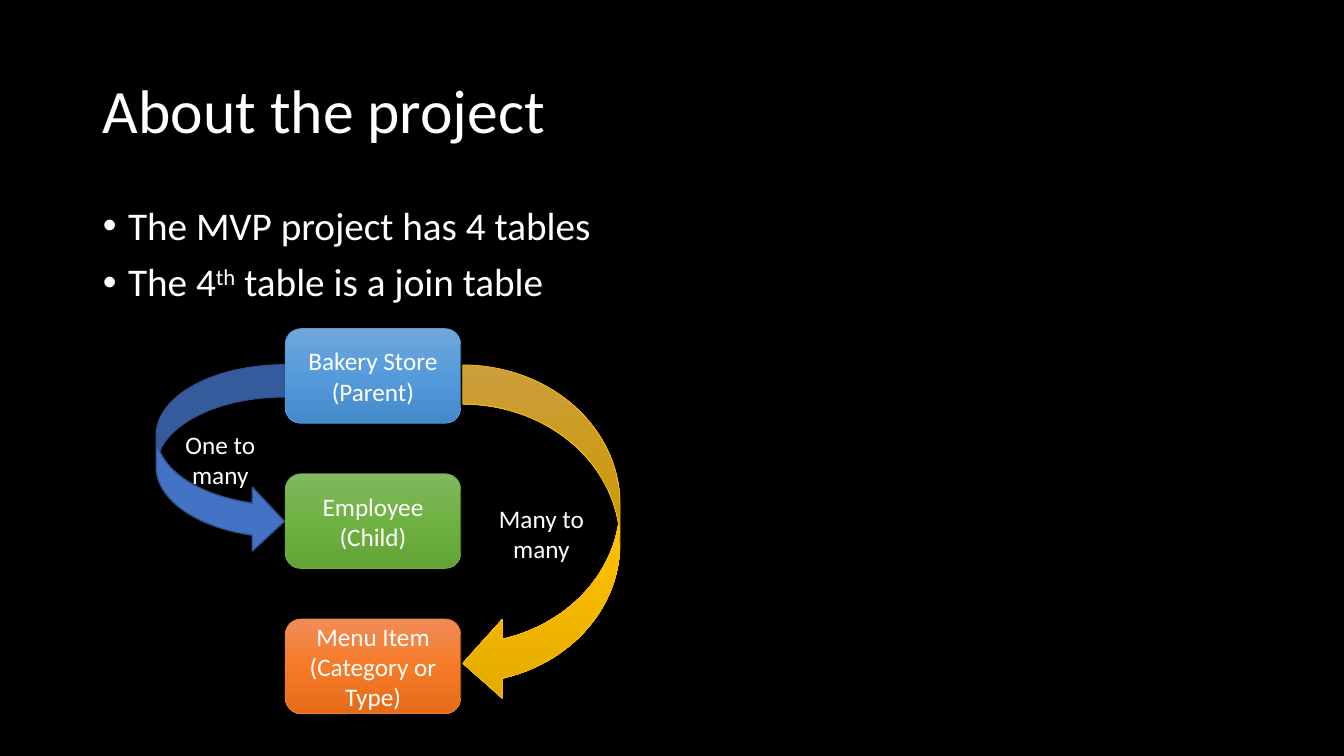
"""Build the "About the project" slide with its table relationship diagram."""
from copy import deepcopy

from pptx import Presentation
from pptx import util as u
from pptx.dml.color import RGBColor
from pptx.enum import shapes, text
from pptx.oxml.ns import qn

COLORS = {"background": "000000", "text": "FFFFFF"}
TITLE = "About the project"
BULLETS = [
    [("The MVP project has 4 tables", False)],
    [("The 4", False), ("th", True), (" table is a join table", False)],
]
TABLES = [
    ("Bakery Store (Parent)", ["71A6DB", "559BDB", "448ACA"], "5B9BD5"),
    ("Employee (Child)", ["81B861", "6FB242", "62A336"], "70AD47"),
    ("Menu Item (Category or Type)", ["F18C57", "F67B28", "E56C19"], "ED7D31"),
]
ARROWS = [
    ("One to many", shapes.MSO_SHAPE.CURVED_RIGHT_ARROW,
     (1.55, 3.62, 1.27, 1.87), ["4472C4"], "325491", 1),
    ("Many to many", shapes.MSO_SHAPE.CURVED_LEFT_ARROW,
     (4.59, 3.62, 1.56, 3.35), ["FFC64B", "FFC000", "E3AB00"], "FFC000", 0.5),
]
TITLE_AREA = (0.92, 0.4, 11.5, 1.45)
BODY_AREA = (0.92, 2, 6.43, 1.1)
TABLE_LEFT, TABLE_TOP, TABLE_STEP = 2.83, 3.26, 1.44
TABLE_SIZE = (1.74, 0.94)


def set_all(target, values):
    """Set each named attribute of the target."""
    for name, value in values.items():
        setattr(target, name, value)


def place(box, area):
    """Move and size a box given in inches."""
    set_all(box, dict(zip(("left", "top", "width", "height"), map(u.Inches, area))))


def add_span(para, words, size, raised=False):
    """Add a run of text in the slide's font."""
    span = para.add_run()
    span.text = words
    set_all(span.font, {"name": "Calibri", "size": u.Pt(size)})
    span.font.color.rgb = RGBColor.from_string(COLORS["text"])
    if raised:
        span.font._element.set("baseline", "30000")


def paint(box, colors):
    """Fill with one colour, or with an even gradient from top to bottom."""
    if len(colors) == 1:
        box.fill.solid()
        box.fill.fore_color.rgb = RGBColor.from_string(colors[0])
        return
    box.fill.gradient()
    box.fill.gradient_angle = 270
    stop_list = box._element.spPr.find(".//" + qn("a:gsLst"))
    while len(stop_list) < len(colors):
        stop_list.append(deepcopy(stop_list[0]))
    for index, (stop, color) in enumerate(zip(box.fill.gradient_stops, colors)):
        stop.position = index / (len(colors) - 1)
        stop.color.rgb = RGBColor.from_string(color)


def add_box(page, kind, area, words, colors, edge, weight):
    """Add a filled, outlined shape with centred text."""
    box = page.shapes.add_shape(kind, *map(u.Inches, area))
    box.shadow.inherit = False
    paint(box, colors)
    box.line.color.rgb = RGBColor.from_string(edge)
    box.line.width = u.Pt(weight)
    set_all(box.text_frame, {"word_wrap": True, "vertical_anchor": text.MSO_ANCHOR.MIDDLE})
    para = box.text_frame.paragraphs[0]
    para.alignment = text.PP_ALIGN.CENTER
    add_span(para, words, 18)


def main():
    """Lay out and save the slide."""
    deck = Presentation()
    set_all(deck, {"slide_width": u.Inches(13.33), "slide_height": u.Inches(7.5)})
    page = deck.slides.add_slide(deck.slide_layouts[1])
    page.background.fill.solid()
    page.background.fill.fore_color.rgb = RGBColor.from_string(COLORS["background"])

    title, body = page.placeholders
    for box, area, anchor in (
        (title, TITLE_AREA, text.MSO_ANCHOR.MIDDLE),
        (body, BODY_AREA, text.MSO_ANCHOR.TOP),
    ):
        place(box, area)
        set_all(box.text_frame, {"word_wrap": True, "vertical_anchor": anchor,
                                 "auto_size": text.MSO_AUTO_SIZE.NONE})

    para = title.text_frame.paragraphs[0]
    set_all(para, {"alignment": text.PP_ALIGN.LEFT, "line_spacing": 0.9})
    add_span(para, TITLE, 44)

    for index, parts in enumerate(BULLETS):
        para = body.text_frame.add_paragraph() if index else body.text_frame.paragraphs[0]
        set_all(para, {"line_spacing": 0.9, "space_before": u.Pt(10)})
        indent = para._p.get_or_add_pPr()
        indent.set("marL", str(u.Inches(0.25)))
        indent.set("indent", str(-u.Inches(0.25)))
        for words, raised in parts:
            add_span(para, words, 28, raised)

    for row, (words, colors, edge) in enumerate(TABLES):
        area = (TABLE_LEFT, TABLE_TOP + row * TABLE_STEP, *TABLE_SIZE)
        add_box(page, shapes.MSO_SHAPE.ROUNDED_RECTANGLE, area, words, colors, edge, 0.5)

    for words, kind, area, colors, edge, weight in ARROWS:
        add_box(page, kind, area, words, colors, edge, weight)

    deck.save("out.pptx")


if __name__ == "__main__":
    main()
